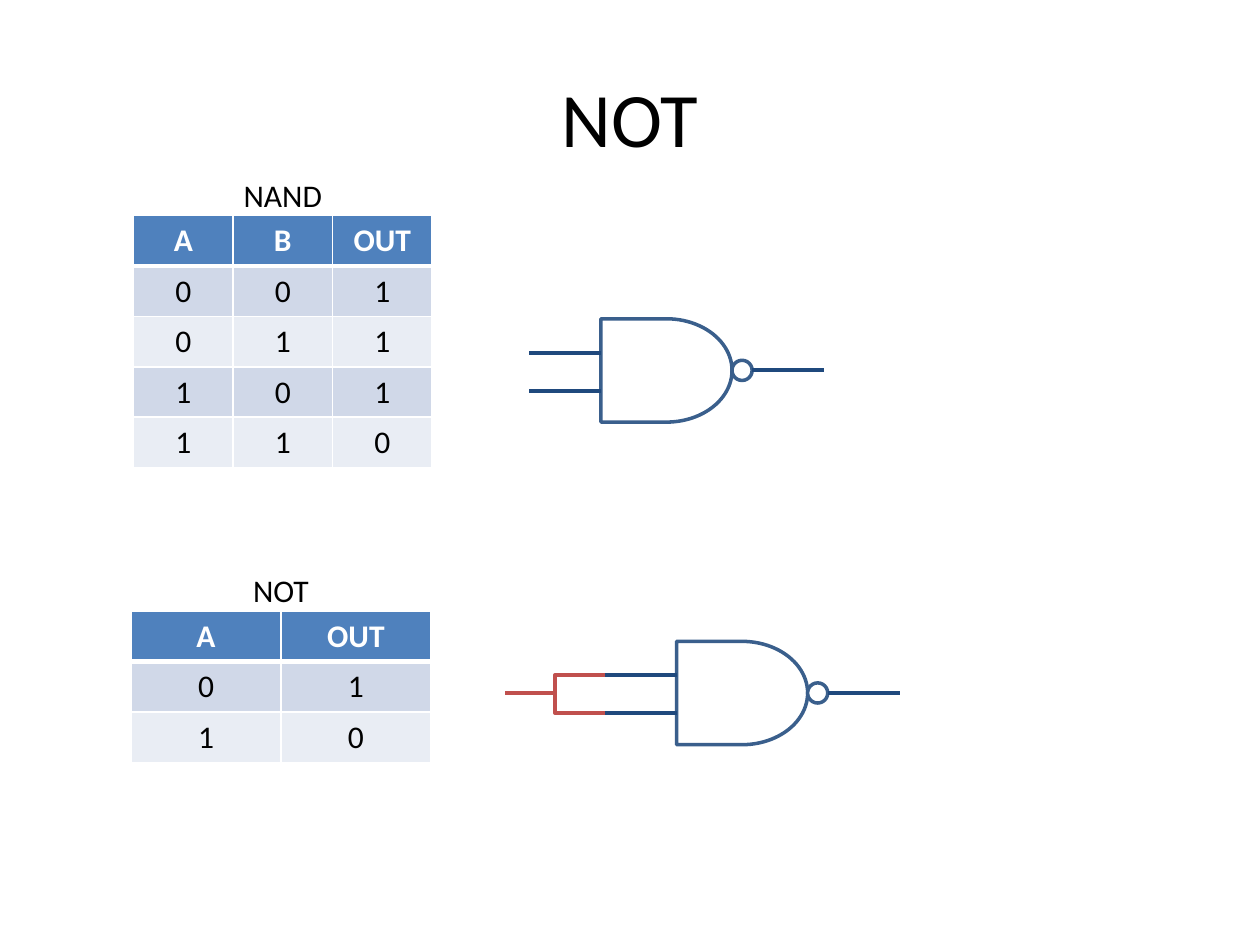
from lxml.etree import SubElement as Sub
from pptx import Presentation
from pptx.dml.color import RGBColor as RGB
from pptx.enum.shapes import MSO_CONNECTOR as Link, MSO_SHAPE as Form
from pptx.enum.text import MSO_ANCHOR as Anchor, PP_ALIGN as Align
from pptx.oxml.ns import qn
from pptx.util import Inches, Pt

WIDE, HIGH = 10, 7.5
FONT = "Calibri"
HUES = {"ink": "000000", "white": "FFFFFF", "head": "4F81BD", "odd": "D0D8E8",
        "even": "E9EDF4", "edge": "3A5F8C", "wire": "1F497D", "split": "C0504D"}
TITLE = "NOT"
ROW, CAP = 0.4, 0.33
TABLES = [
    {"name": "NAND", "at": (1.06, 1.71), "col": 0.79,
     "rows": [("A", "B", "OUT"), "001", "011", "101", "110"]},
    {"name": "NOT", "at": (1.04, 4.85), "col": 1.19,
     "rows": [("A", "OUT"), "01", "10"]},
]
GATES = [(4.77, 2.94), (5.37, 5.5)]
BODY, BULB, LEAD = (1.04, 0.82), 0.16, 0.57
PINS = (-0.14, 0.16)
FORK = 0.79

deck = Presentation()
deck.slide_width, deck.slide_height = Inches(WIDE), Inches(HIGH)
slide = deck.slides.add_slide(deck.slide_layouts[6])


def hue(key):
    return RGB.from_string(HUES[key])


def write(frame, text, size, key="ink", bold=False):
    frame.text = text
    para = frame.paragraphs[0]
    para.alignment = Align.CENTER
    font = para.runs[0].font
    font.name, font.size, font.bold = FONT, Pt(size), bold
    font.color.rgb = hue(key)


def label(text, size, box, pad):
    frame = slide.shapes.add_textbox(*map(Inches, box)).text_frame
    frame.word_wrap = True
    frame.vertical_anchor = Anchor.MIDDLE
    frame.margin_top = frame.margin_bottom = Inches(pad)
    write(frame, text, size)


def border(cell, base):
    props = cell._tc.get_or_add_tcPr()
    for side, width in zip("LRTB", (1, 1, 1, base)):
        line = Sub(props, qn("a:ln" + side), w=str(Pt(width)))
        Sub(Sub(line, qn("a:solidFill")), qn("a:srgbClr"), val=HUES["white"])


def table(name, at, col, rows):
    left, top = at
    count = len(rows[0])
    size = (col * count, ROW * len(rows))
    grid = slide.shapes.add_table(len(rows), count, *map(Inches, at + size)).table
    for part in grid.columns:
        part.width = Inches(col)
    for r, row in enumerate(rows):
        grid.rows[r].height = Inches(ROW)
        for c, text in enumerate(row):
            cell = grid.cell(r, c)
            border(cell, 1 if r else 3)
            cell.fill.solid()
            cell.fill.fore_color.rgb = hue(("even", "odd")[r % 2] if r else "head")
            write(cell.text_frame, text, 18, "ink" if r else "white", not r)
    label(name, 18, (left, top - CAP, size[0], CAP), 0)


def wire(shapes, start, end, key="wire", kind=Link.STRAIGHT):
    link = shapes.add_connector(kind, *map(Inches, start + end))
    link.line.color.rgb = hue(key)
    link.line.width = Pt(2.25)
    Sub(link._element.spPr, qn("a:effectLst"))


def solid(shapes, form, box):
    shape = shapes.add_shape(form, *map(Inches, box))
    shape.shadow.inherit = False
    shape.fill.solid()
    shape.fill.fore_color.rgb = hue("white")
    shape.line.color.rgb = hue("edge")
    shape.line.width = Pt(2)


def gate(left, mid):
    shapes = slide.shapes.add_group_shape().shapes
    wide, high = BODY
    tip = left + wide
    solid(shapes, Form.FLOWCHART_DELAY, (left, mid - high / 2, wide, high))
    for pin in PINS:
        wire(shapes, (left - LEAD, mid + pin), (left, mid + pin))
    solid(shapes, Form.OVAL, (tip, mid - BULB / 2, BULB, BULB))
    wire(shapes, (tip + BULB, mid), (tip + BULB + LEAD, mid))


label(TITLE, 44, (0.5, 0.3, WIDE - 1, 1.25), 0.05)
for item in TABLES:
    table(**item)
for spot in GATES:
    gate(*spot)
left, mid = GATES[1]
for pin in PINS:
    wire(slide.shapes, (left - LEAD - FORK, mid), (left - LEAD, mid + pin),
         "split", Link.ELBOW)

deck.save("out.pptx")
